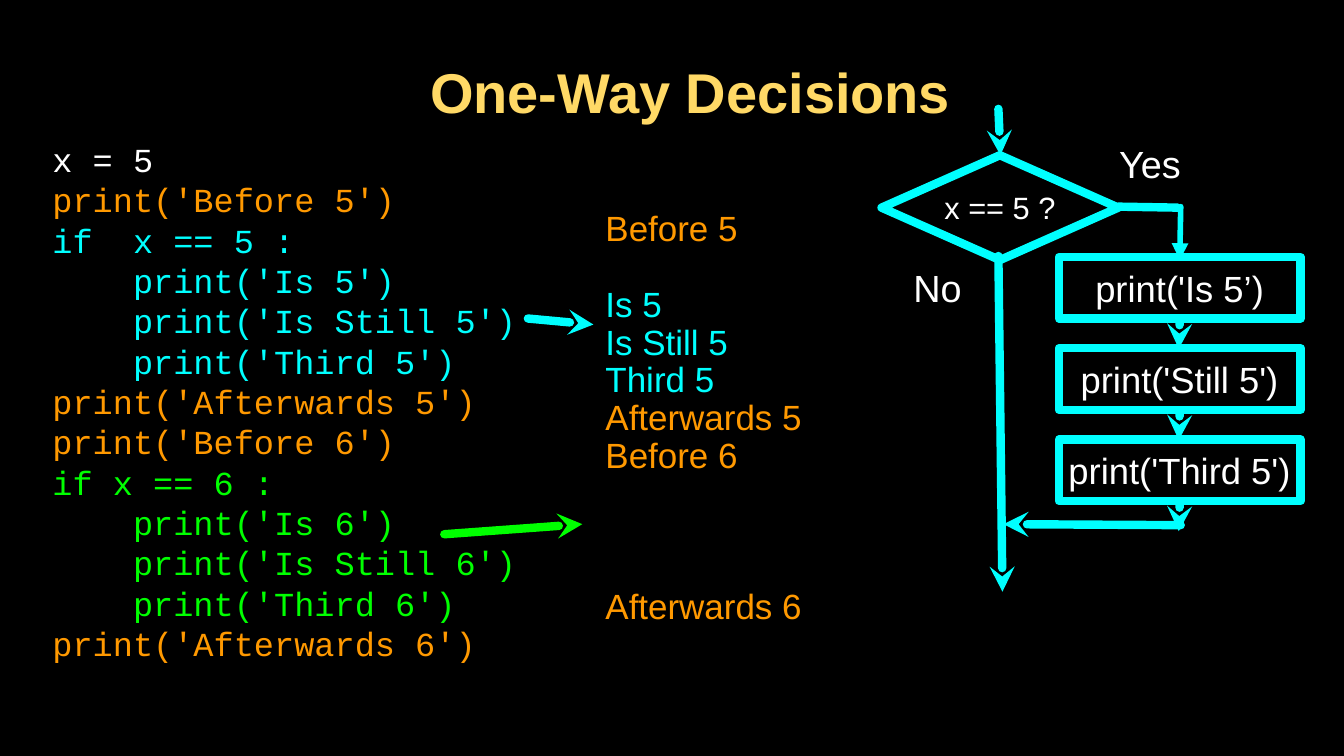
from lxml.etree import SubElement
from pptx import Presentation
from pptx.dml.color import RGBColor
from pptx.enum.shapes import MSO_CONNECTOR, MSO_SHAPE
from pptx.enum.text import MSO_ANCHOR, PP_ALIGN
from pptx.oxml.ns import qn
from pptx.util import Inches, Pt

HUE = {"black": "000000", "white": "FFFFFF", "gold": "FFD966",
       "orange": "FF9900", "cyan": "00FFFF", "green": "00FF00"}
COLS, ROWS = 133.4, 75
CELL = Inches(0.1)

CODE = [
    ("white", ["x = 5"]),
    ("orange", ["print('Before 5')"]),
    ("cyan", ["if  x == 5 :", "    print('Is 5')",
              "    print('Is Still 5')", "    print('Third 5')"]),
    ("orange", ["print('Afterwards 5')", "print('Before 6')"]),
    ("green", ["if x == 6 :", "    print('Is 6')",
               "    print('Is Still 6')", "    print('Third 6')"]),
    ("orange", ["print('Afterwards 6')"]),
]
OUTPUT = [
    ("Before 5", "orange", 0), ("Is 5", "cyan", 1), ("Is Still 5", "cyan", 0),
    ("Third 5", "cyan", 0), ("Afterwards 5", "orange", 0),
    ("Before 6", "orange", 0), ("Afterwards 6", "orange", 3),
]
STEPS = ["print('Is 5’)", "print('Still 5')", "print('Third 5')"]


def grid(*cells):
    """Turn counts of grid cells into slide lengths."""
    return [round(cell * CELL) for cell in cells]


def color(name):
    """Look up a colour by its name."""
    return RGBColor.from_string(HUE[name])


def setup(frame, inset=0):
    """Wrap and centre a text frame vertically, with equal insets."""
    frame.word_wrap = True
    frame.vertical_anchor = MSO_ANCHOR.MIDDLE
    frame.margin_left = frame.margin_right = Inches(inset)
    frame.margin_top = frame.margin_bottom = Inches(inset)
    return frame


def write(para, text, size, hue, face="Arial", bold=False, align=PP_ALIGN.CENTER):
    """Add one styled run to a paragraph."""
    para.alignment = align
    run = para.add_run()
    run.text = text
    run.font.size, run.font.name, run.font.bold = Pt(size), face, bold
    run.font.color.rgb = color(hue)


def label(slide, box, text, size, hue, inset=0, **style):
    """Place a text box that holds a single line."""
    frame = setup(slide.shapes.add_textbox(*grid(*box)).text_frame, inset)
    write(frame.paragraphs[0], text, size, hue, **style)


def listing(slide, box, lines, size, face, pitch):
    """Place coloured lines at a fixed pitch, with gaps counted in lines."""
    frame = setup(slide.shapes.add_textbox(*grid(*box)).text_frame)
    for i, (text, hue, gap) in enumerate(lines):
        para = frame.add_paragraph() if i else frame.paragraphs[0]
        para.line_spacing = Pt(pitch)
        if gap:
            para.space_before = Pt(gap * pitch)
        write(para, text, size, hue, face, align=PP_ALIGN.LEFT)


def stroke(line, hue, width, head=None):
    """Style a line with round caps and joins and an optional arrowhead."""
    line.color.rgb = color(hue)
    line.width = Pt(width)
    ln = line._get_or_add_ln()
    ln.set("cap", "rnd")
    SubElement(ln, qn("a:round"))
    if head:
        SubElement(ln, qn("a:tailEnd"), type=head)


def arrow(slide, start, tip, hue="cyan", width=6, head="stealth"):
    """Draw a straight line from its start to its tip."""
    link = slide.shapes.add_connector(MSO_CONNECTOR.STRAIGHT, *grid(*start, *tip))
    stroke(link.line, hue, width, head)
    SubElement(link._element.spPr, qn("a:effectLst"))


def node(slide, kind, box, text, size):
    """Draw an outlined flowchart node with centred text."""
    shape = slide.shapes.add_shape(kind, *grid(*box))
    shape.shadow.inherit = False
    shape.fill.background()
    stroke(shape.line, "cyan", 6)
    write(setup(shape.text_frame).paragraphs[0], text, size, "white")


def chart(slide):
    """Draw the flowchart of the one-way decision."""
    arrow(slide, (99.1, 10.8), (99.3, 15.4))
    node(slide, MSO_SHAPE.DIAMOND, (87.5, 15.4, 23.5, 10.4), "x == 5 ?", 22)
    arrow(slide, (99.1, 25.4), (99.5, 58.7))
    arrow(slide, (111, 20.5), (116.9, 20.6), head=None)
    arrow(slide, (117.2, 20.5), (117.1, 25.8), width=4, head="triangle")
    arrow(slide, (117.2, 52.1), (99.6, 52))
    label(slide, (109.6, 13.7, 9.1, 5.1), "Yes", 27, "white")
    label(slide, (90.1, 26, 5.9, 5.1), "No", 27, "white")
    for i, step in enumerate(STEPS):
        top = 25.5 + i * 9.05
        node(slide, MSO_SHAPE.RECTANGLE, (105.1, top, 24, 6.1), step, 26)
        arrow(slide, (117.1, top + 6.2), (117, top + 9.1))


def main():
    """Build the slide and save it."""
    deck = Presentation()
    deck.slide_width, deck.slide_height = grid(COLS, ROWS)
    slide = deck.slides.add_slide(deck.slide_layouts[6])
    slide.background.fill.solid()
    slide.background.fill.fore_color.rgb = color("black")
    label(slide, (16.6, 4.6, 78, 8.8), "One-Way Decisions", 40, "gold",
          inset=0.03, bold=True, align=PP_ALIGN.RIGHT)
    code = [(text, hue, 0) for hue, block in CODE for text in block]
    listing(slide, (5.2, 13.1, 46.8, 53.4), code, 24, "Courier New", 28.8)
    listing(slide, (60.1, 17.1, 23.2, 48.9), OUTPUT, 25, "Arial", 27)
    arrow(slide, (52.4, 31.6), (58.9, 32.2))
    arrow(slide, (44.1, 53), (57.8, 52), hue="green")
    chart(slide)
    deck.save("out.pptx")


if __name__ == "__main__":
    main()
